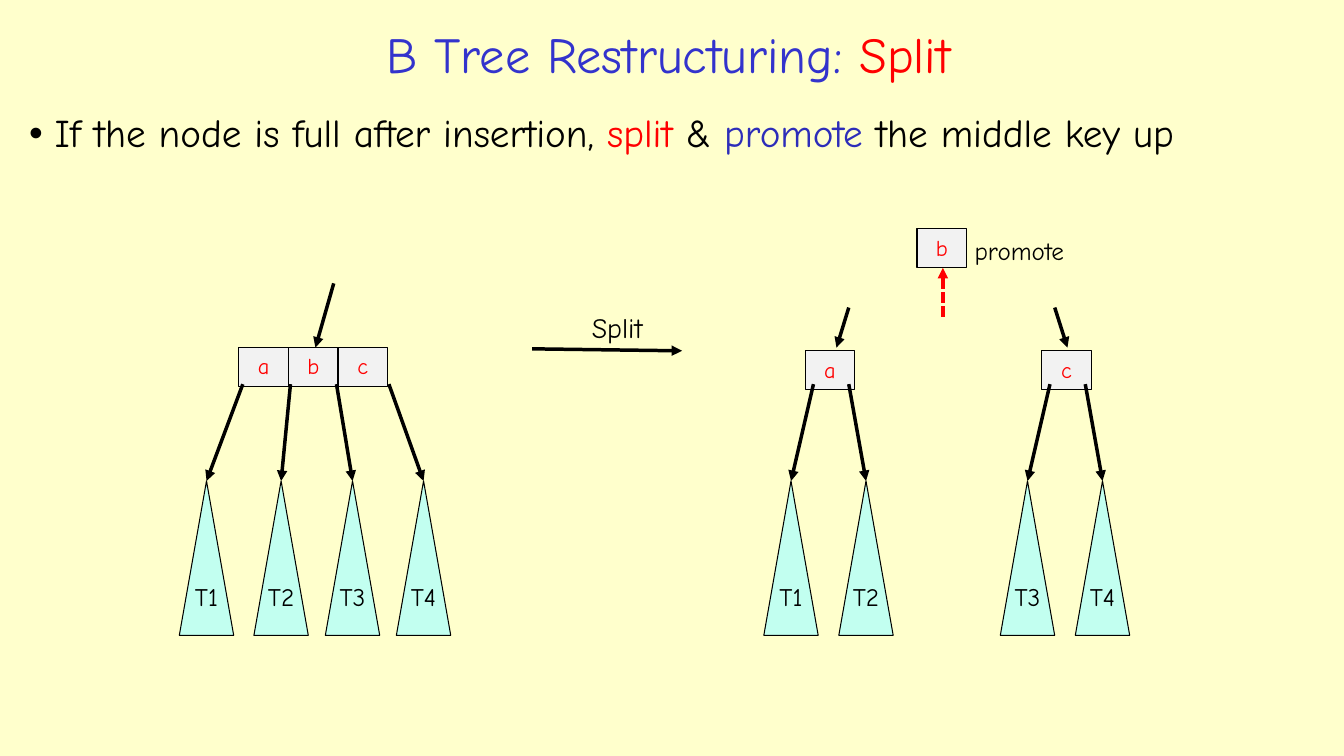
from lxml import etree
from pptx import Presentation
from pptx.dml.color import RGBColor
from pptx.enum import dml, shapes, text
from pptx.oxml import ns
from pptx.util import Cm, Pt

FONT = "Comic Neue"
COLORS = {
    "background": "FFFFCC", "title": "3333CC", "accent": "FF0000",
    "promote": "2D2DB9", "ink": "000000", "key": "F2F2F2", "subtree": "C2FFF0",
}
KEY_W, KEY_H = 1.25, 0.98
SUBTREE_W, SUBTREE_H = 1.37, 3.89
POINTER_Y, SUBTREE_Y = 9.68, 12.12


def rgb(name):
    return RGBColor.from_string(COLORS[name])


def add_runs(paragraph, size, *parts):
    """Append (wording, colour name) pairs as runs of one size."""
    for wording, color in parts:
        run = paragraph.add_run()
        run.text = wording
        run.font.name = FONT
        run.font.size = Pt(size)
        run.font.color.rgb = rgb(color)


def add_title(slide, left, top, width, height):
    title = slide.shapes.title
    title.left, title.top, title.width, title.height = map(Cm, (left, top, width, height))
    frame = title.text_frame
    frame.auto_size = text.MSO_AUTO_SIZE.NONE
    frame.vertical_anchor = text.MSO_ANCHOR.MIDDLE
    heading = frame.paragraphs[0]
    heading.alignment = text.PP_ALIGN.CENTER
    add_runs(heading, 36, ("B Tree Restructuring: ", "title"), ("Split", "accent"))


def add_rule(slide, left, top, width, height):
    """Place the bulleted statement of the split rule."""
    body = slide.placeholders[1]
    body.left, body.top, body.width, body.height = map(Cm, (left, top, width, height))
    frame = body.text_frame
    frame.auto_size = text.MSO_AUTO_SIZE.NONE
    frame.vertical_anchor = text.MSO_ANCHOR.TOP
    rule = frame.paragraphs[0]
    rule.line_spacing = 0.9
    rule.space_before = Pt(0)
    properties = rule._p.get_or_add_pPr()
    properties.set("marL", str(Cm(0.64)))
    properties.set("indent", str(-Cm(0.64)))
    etree.SubElement(properties, ns.qn("a:buChar")).set("char", "•")
    add_runs(rule, 28, ("If the node is full after insertion, ", "ink"), ("split", "accent"),
             (" & ", "ink"), ("promote", "promote"), (" the middle key up", "ink"))


def add_arrow(slide, start, end, color="ink", dash=None):
    arrow = slide.shapes.add_connector(
        shapes.MSO_CONNECTOR.STRAIGHT, *map(Cm, (*start, *end)))
    arrow.line.color.rgb = rgb(color)
    arrow.line.width = Pt(2.5)
    if dash:
        arrow.line.dash_style = dash
    outline = arrow.line._get_or_add_ln()
    etree.SubElement(outline, ns.qn("a:tailEnd")).set("type", "triangle")
    etree.SubElement(arrow._element.spPr, ns.qn("a:effectLst"))


def add_block(slide, kind, box, fill, label, size, color, anchor, wrap):
    block = slide.shapes.add_shape(kind, *map(Cm, box))
    block.shadow.inherit = False
    block.fill.solid()
    block.fill.fore_color.rgb = rgb(fill)
    block.line.color.rgb = rgb("ink")
    block.line.width = Pt(0.75)
    frame = block.text_frame
    frame.word_wrap = wrap
    frame.vertical_anchor = anchor
    frame.paragraphs[0].alignment = text.PP_ALIGN.CENTER
    add_runs(frame.paragraphs[0], size, (label, color))


def add_key(slide, left, top, key):
    add_block(slide, shapes.MSO_SHAPE.RECTANGLE, (left, top, KEY_W, KEY_H),
              "key", key, 16, "accent", text.MSO_ANCHOR.TOP, True)


def add_label(slide, box, wording, size, align):
    label = slide.shapes.add_textbox(*map(Cm, box))
    frame = label.text_frame
    frame.word_wrap = False
    frame.auto_size = text.MSO_AUTO_SIZE.SHAPE_TO_FIT_TEXT
    frame.paragraphs[0].alignment = align
    add_runs(frame.paragraphs[0], size, (wording, "ink"))


def add_tree(slide, left, top, keys, key_offset, children, entry):
    """Draw a node and its subtrees from the box's top-left corner.

    children holds (label, subtree x, pointer x); entry holds the two ends of
    the incoming arrow. All x values, key_offset and entry are box-relative.
    """
    key_x, key_y = key_offset
    for i, key in enumerate(keys):
        add_key(slide, left + key_x + i * KEY_W, top + key_y, key)
    for label, subtree_x, pointer_x in children:
        subtree_left = left + subtree_x
        add_block(slide, shapes.MSO_SHAPE.ISOSCELES_TRIANGLE,
                  (subtree_left, SUBTREE_Y, SUBTREE_W, SUBTREE_H),
                  "subtree", label, 18, "ink", text.MSO_ANCHOR.MIDDLE, False)
        add_arrow(slide, (left + pointer_x, POINTER_Y),
                  (subtree_left + SUBTREE_W / 2, SUBTREE_Y))
    add_arrow(slide, *((left + x, top + y) for x, y in entry))


def add_half(slide, left, top, key, labels, entry):
    """Draw one of the two nodes left after the split."""
    children = zip(labels, (0, 1.89), (1.25, 2.14))
    add_tree(slide, left, top, key, (1.04, 1.09), children, entry)


def add_split_step(slide, left, top):
    add_arrow(slide, (left, top + 1.09), (left + 3.78, top + 1.14))
    add_label(slide, (left + 1.09, top, 2.11, 1.12), "Split", 20, text.PP_ALIGN.CENTER)


def add_promoted_key(slide, left, top):
    add_key(slide, left, top, "b")
    add_label(slide, (left + 1.2, top + 0.03, 3, 1.02), "promote", 18, text.PP_ALIGN.LEFT)
    arrow_x = left + 0.65
    add_arrow(slide, (arrow_x, top + 2.21), (arrow_x, top + KEY_H), "accent",
              dml.MSO_LINE.SQUARE_DOT)


def main():
    deck = Presentation()
    deck.slide_width, deck.slide_height = Cm(33.87), Cm(19.05)
    slide = deck.slides.add_slide(deck.slide_layouts[1])
    slide.background.fill.solid()
    slide.background.fill.fore_color.rgb = rgb("background")

    add_title(slide, 2.46, 0.38, 28.78, 1.93)
    add_rule(slide, 0.48, 2.74, 32.72, 1.88)
    full_children = zip(("T1", "T2", "T3", "T4"), (0, 1.88, 3.68, 5.47),
                        (1.6, 2.8, 3.96, 5.28))
    add_tree(slide, 4.52, 7.14, "abc", (1.5, 1.62), full_children,
             ((3.89, 0), (3.43, 1.62)))
    add_split_step(slide, 13.41, 7.7)
    add_promoted_key(slide, 23.11, 5.77)
    add_half(slide, 19.25, 7.75, "a", ("T1", "T2"), ((2.14, 0), (1.83, 1.01)))
    add_half(slide, 25.21, 7.75, "c", ("T3", "T4"), ((1.37, 0), (1.69, 1.01)))
    deck.save("out.pptx")


if __name__ == "__main__":
    main()
